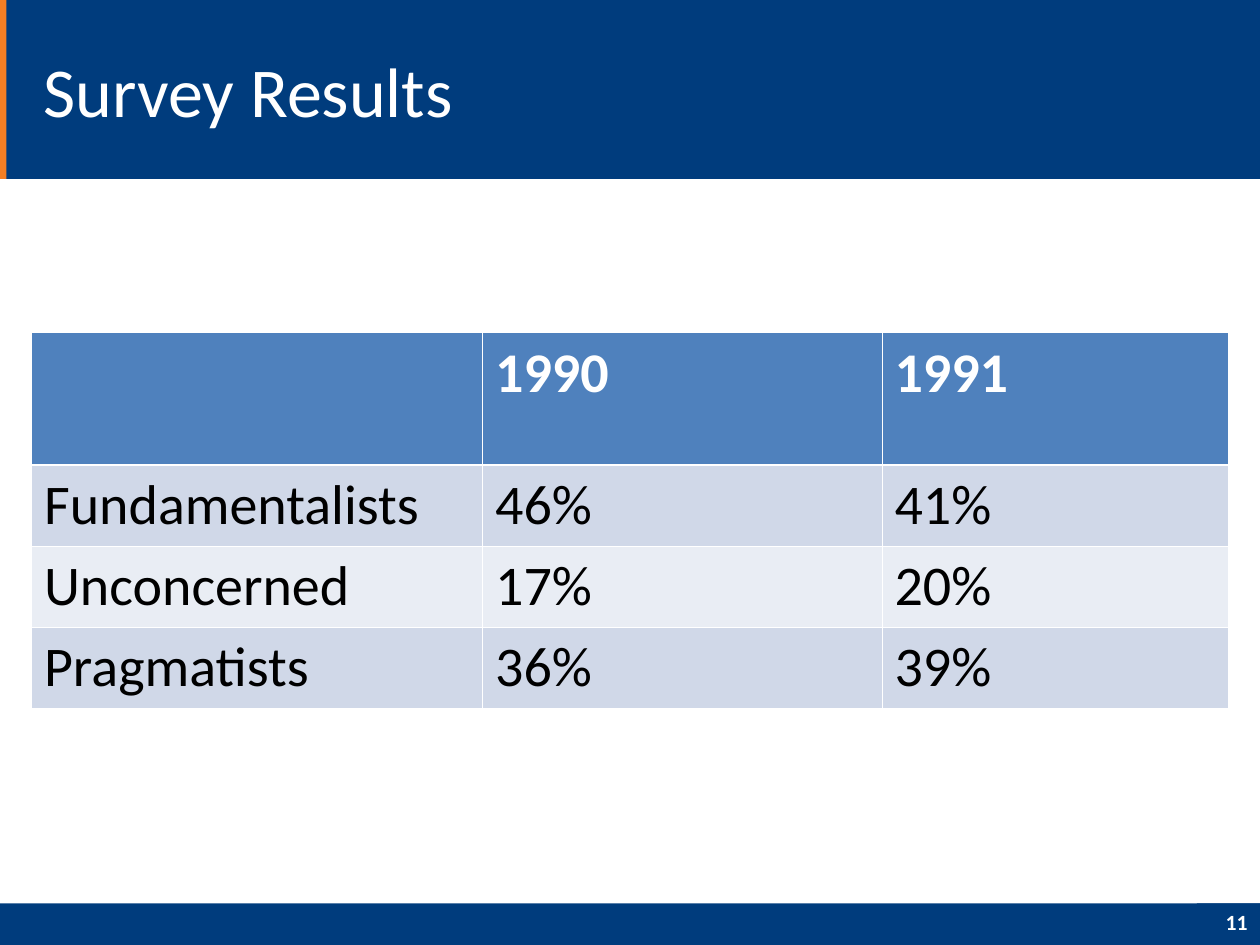
from dataclasses import dataclass

from lxml import etree
from pptx import Presentation
from pptx.dml.color import RGBColor
from pptx.enum.text import MSO_ANCHOR, PP_ALIGN
from pptx.enum.shapes import MSO_SHAPE
from pptx.oxml.ns import qn
from pptx.util import Inches, Pt

RECTANGLE = MSO_SHAPE.RECTANGLE
MIDDLE = MSO_ANCHOR.MIDDLE
LEFT = PP_ALIGN.LEFT
RIGHT = PP_ALIGN.RIGHT

NAVY = RGBColor(0x00, 0x3C, 0x7D)
ORANGE = RGBColor(0xF4, 0x7F, 0x24)
HEADER_BLUE = RGBColor(0x4F, 0x81, 0xBD)
DARK_BAND = RGBColor(0xD0, 0xD8, 0xE8)
LIGHT_BAND = RGBColor(0xE9, 0xED, 0xF4)
WHITE = RGBColor(0xFF, 0xFF, 0xFF)
BLACK = RGBColor(0x00, 0x00, 0x00)

FONT = "Calibri"
THIN = Pt(0.45)
THICK = Pt(1.47)
COLUMN_WIDTHS = (3.58, 3.17, 2.75)
HEADER_HEIGHT = 1.05
ROW_HEIGHT = 0.64
SURVEY = (
    ("", "1990", "1991"),
    ("Fundamentalists", "46%", "41%"),
    ("Unconcerned", "17%", "20%"),
    ("Pragmatists", "36%", "39%"),
)


@dataclass(frozen=True)
class Bar:
    left: float
    top: float
    width: float
    height: float
    color: RGBColor


FOOTER = Bar(0, 7.17, 10, 0.33, NAVY)
HEADER = Bar(0, 0, 10, 1.42, NAVY)
ACCENT = Bar(0, 0, 0.05, 1.42, ORANGE)
NUMBER_BAR = Bar(9.5, 7.17, 0.5, 0.33, NAVY)


def add_bar(page, bar: Bar):
    shape = page.shapes.add_shape(
        RECTANGLE, Inches(bar.left), Inches(bar.top), Inches(bar.width), Inches(bar.height)
    )
    shape.shadow.inherit = False
    shape.fill.solid()
    shape.fill.fore_color.rgb = bar.color
    shape.line.fill.background()
    return shape


def write(frame, text: str, size: float, color: RGBColor, bold: bool = False, align=LEFT):
    para = frame.paragraphs[0]
    para.text = text
    para.alignment = align
    para.font.name = FONT
    para.font.size = Pt(size)
    para.font.bold = bold
    para.font.color.rgb = color
    return para


def set_borders(cell, top: int, bottom: int) -> None:
    properties = cell._tc.get_or_add_tcPr()
    widths = {"a:lnL": THIN, "a:lnR": THIN, "a:lnT": top, "a:lnB": bottom}
    for position, (tag, width) in enumerate(widths.items()):
        line = etree.Element(qn(tag), w=str(int(width)))
        fill = etree.SubElement(line, qn("a:solidFill"))
        etree.SubElement(fill, qn("a:srgbClr"), val=str(WHITE))
        properties.insert(position, line)


def add_survey_table(page) -> None:
    height = HEADER_HEIGHT + ROW_HEIGHT * (len(SURVEY) - 1)
    table = page.shapes.add_table(
        len(SURVEY), len(COLUMN_WIDTHS), Inches(0.25), Inches(2.64),
        Inches(sum(COLUMN_WIDTHS)), Inches(height),
    ).table
    for column, width in zip(table.columns, COLUMN_WIDTHS):
        column.width = Inches(width)
    for index, values in enumerate(SURVEY):
        is_header = index == 0
        table.rows[index].height = Inches(HEADER_HEIGHT if is_header else ROW_HEIGHT)
        band = DARK_BAND if index % 2 else LIGHT_BAND
        for column_index, value in enumerate(values):
            cell = table.cell(index, column_index)
            cell.fill.solid()
            cell.fill.fore_color.rgb = HEADER_BLUE if is_header else band
            set_borders(cell, THICK if index == 1 else THIN, THICK if is_header else THIN)
            if value:
                write(cell.text_frame, value, 32, WHITE if is_header else BLACK, is_header)


def add_title(page) -> None:
    box = page.shapes.add_textbox(Inches(0.25), Inches(0.17), Inches(7.33), Inches(1.08))
    frame = box.text_frame
    frame.word_wrap = True
    frame.vertical_anchor = MIDDLE
    write(frame, "Survey Results", 40, WHITE)


def add_page_number(page) -> None:
    frame = add_bar(page, NUMBER_BAR).text_frame
    frame.vertical_anchor = MIDDLE
    para = write(frame, "11", 12.4, WHITE, True, RIGHT)
    para.line_spacing = 0.8


def main() -> None:
    deck = Presentation()
    deck.slide_width = Inches(10)
    deck.slide_height = Inches(7.5)
    page = deck.slides.add_slide(deck.slide_layouts[6])
    for bar in (FOOTER, HEADER, ACCENT):
        add_bar(page, bar)
    add_survey_table(page)
    add_title(page)
    add_page_number(page)
    deck.save("out.pptx")


if __name__ == "__main__":
    main()
